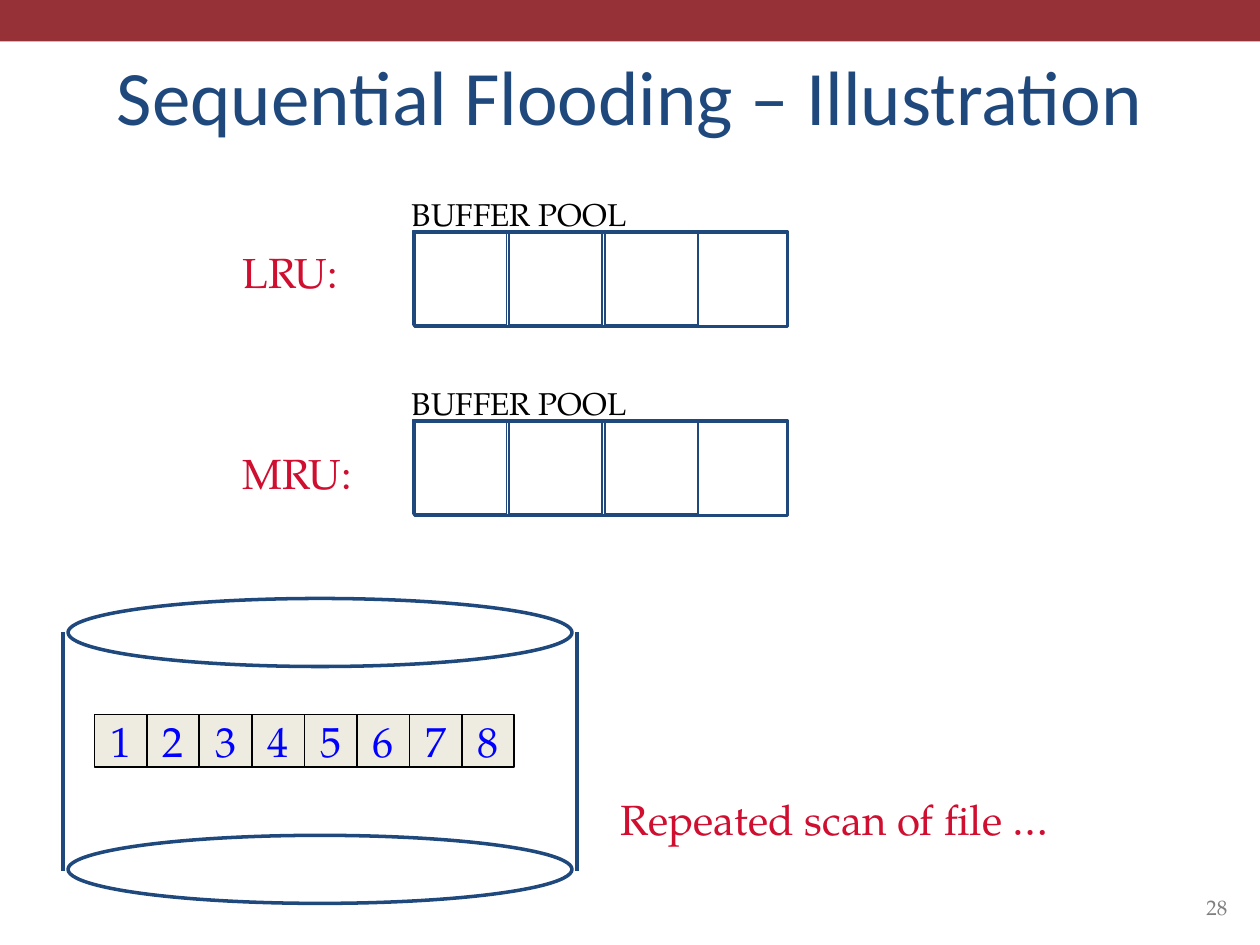
from pptx import Presentation
from pptx.dml.color import RGBColor
from pptx.enum import shapes, text
from pptx.oxml.ns import qn
from pptx.util import Inches, Pt
from lxml import etree

HUES = {"bar": "963237", "navy": "1F497D", "red": "CF0E30", "black": "000000",
        "blue": "0000FF", "cream": "EEECE1", "gray": "7F7F7F"}
FONT = "TeX Gyre Pagella"
LEFT, MID, RIGHT = (text.PP_ALIGN.LEFT, text.PP_ALIGN.CENTER, text.PP_ALIGN.RIGHT)
TOP, CENTER, BASE = (text.MSO_ANCHOR.TOP, text.MSO_ANCHOR.MIDDLE, text.MSO_ANCHOR.BOTTOM)
RECT, OVAL = shapes.MSO_SHAPE.RECTANGLE, shapes.MSO_SHAPE.OVAL


def hue(name):
    return RGBColor.from_string(HUES[name])


def write(shape, words, size=24, color="red", font=FONT, align=LEFT,
          anchor=TOP, wrap=False):
    frame = shape.text_frame
    frame.word_wrap = wrap
    frame.vertical_anchor = anchor
    para = frame.paragraphs[0]
    para.alignment = align
    run = para.add_run()
    run.text = words
    run.font.size = Pt(size)
    run.font.name = font
    run.font.color.rgb = hue(color)


def label(slide, words, x, y, w, h, **form):
    box = slide.shapes.add_textbox(Inches(x), Inches(y), Inches(w), Inches(h))
    write(box, words, **form)


def block(slide, kind, x, y, w, h, fill=None, line=None, width=1):
    shape = slide.shapes.add_shape(kind, Inches(x), Inches(y), Inches(w), Inches(h))
    shape.shadow.inherit = False
    if fill:
        shape.fill.solid()
        shape.fill.fore_color.rgb = hue(fill)
    else:
        shape.fill.background()
    if line:
        shape.line.color.rgb = hue(line)
        shape.line.width = Pt(width)
    else:
        shape.line.fill.background()
    return shape


def edge(slide, x, top, end):
    """Draw one upright side of the disk."""
    line = slide.shapes.add_connector(shapes.MSO_CONNECTOR.STRAIGHT, Inches(x),
                                      Inches(top), Inches(x), Inches(end))
    line.line.color.rgb = hue("navy")
    line.line.width = Pt(2)
    etree.SubElement(line._element.spPr, qn("a:effectLst"))


def head(slide):
    block(slide, RECT, 0, 0, 10, 0.33, fill="bar")
    title = slide.shapes.title
    title.left, title.top = Inches(0.5), Inches(0.3)
    title.width, title.height = Inches(9), Inches(0.87)
    write(title, "Sequential Flooding – Illustration", size=44, color="navy",
          font="Calibri", align=MID, anchor=BASE, wrap=True)


def disk(slide):
    for y in (4.75, 6.63):
        block(slide, OVAL, 0.54, y, 4, 0.54, line="navy", width=2)
    for x in (0.5, 4.58):
        edge(slide, x, 5.02, 6.91)
    side = 5 / 12
    for i in range(8):
        page = block(slide, RECT, 0.75 + i * side, 5.67, side, side,
                     fill="cream", line="black")
        write(page, str(i + 1), color="blue", align=MID, anchor=CENTER)


def pool(slide, y):
    """Draw a buffer pool of four frames, with its caption at y."""
    block(slide, RECT, 3.29, y + 0.34, 2.96, 0.75, line="navy", width=2)
    for i in range(3):
        block(slide, RECT, 3.28 + i * 0.76, y + 0.33, 0.74, 0.75, line="navy")
    label(slide, "BUFFER POOL", 3.17, y, 1.91, 0.4, size=18, color="black")


def main():
    deck = Presentation()
    deck.slide_width, deck.slide_height = Inches(10), Inches(7.5)
    slide = deck.slides.add_slide(deck.slide_layouts[5])
    head(slide)
    disk(slide)
    for y in (1.5, 3):
        pool(slide, y)
    label(slide, "LRU:", 1.83, 1.91, 0.97, 0.5)
    label(slide, "MRU:", 1.83, 3.5, 1.08, 0.5)
    label(slide, "Repeated scan of file …", 4.83, 6.25, 3.66, 0.5)
    label(slide, "28", 7.17, 6.83, 2.67, 0.52, size=12, color="gray",
          align=RIGHT, anchor=BASE, wrap=True)
    deck.save("out.pptx")


if __name__ == "__main__":
    main()
